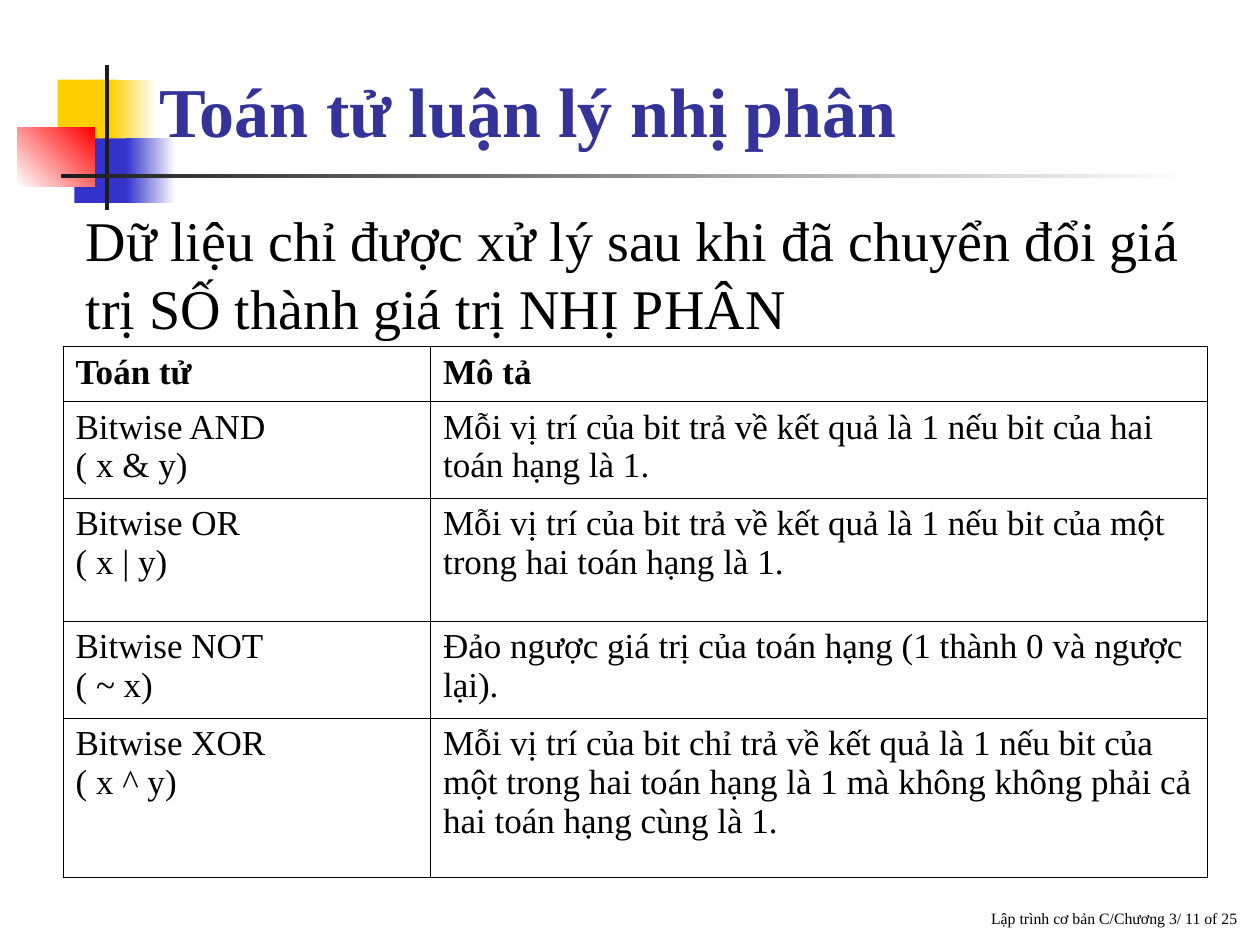
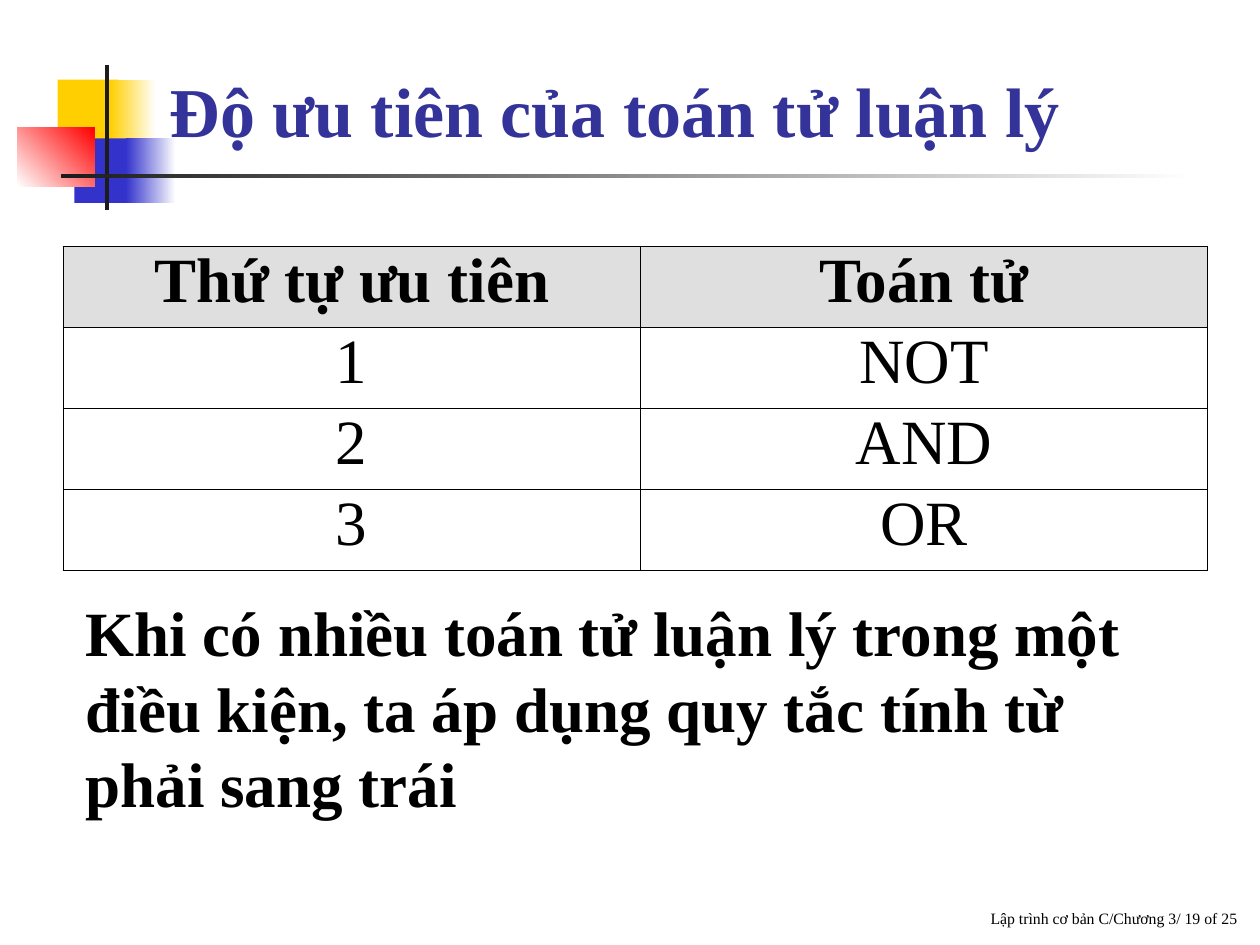
from pptx import Presentation
from pptx.dml.color import RGBColor
from pptx.enum.shapes import MSO_SHAPE as Preset
from pptx.enum.text import MSO_ANCHOR as Anchor
from pptx.enum.text import MSO_AUTO_SIZE as AutoSize
from pptx.enum.text import PP_ALIGN as Align
from pptx.oxml import parse_xml
from pptx.oxml.ns import nsdecls
from pptx.util import Pt

FONT = "Times New Roman"
BLACK = RGBColor(0x00, 0x00, 0x00)
WHITE = RGBColor(0xFF, 0xFF, 0xFF)
CHARCOAL = RGBColor(0x1C, 0x1C, 0x1C)
GOLD = RGBColor(0xFF, 0xCF, 0x01)
BLUE = RGBColor(0x33, 0x33, 0xCC)
RED = RGBColor(0xFF, 0x00, 0x00)
INDIGO = RGBColor(0x33, 0x33, 0x99)
HEADER_GREY = RGBColor(0xDF, 0xDF, 0xDF)

ORNAMENTS = [
    ((33, 45.5, 34.5, 37.5), [GOLD], 0),
    ((63, 45.5, 26, 37.5), [GOLD, WHITE], 0),
    ((42.5, 79, 33, 37), [BLUE], 0),
    ((72, 79, 28.5, 37), [BLUE, WHITE], 0),
    ((10, 73, 44, 33.5), [WHITE, RED], 45),
    ((60, 37.25, 2.25, 82.75), [CHARCOAL], 0),
    ((34.75, 99.5, 648, 2.25), [CHARCOAL, WHITE], 0),
]
OPERATORS = [
    ("Toán tử", "Mô tả"),
    ("Bitwise AND\n( x & y)",
     "Mỗi vị trí của bit trả về kết quả là 1 nếu bit của hai toán hạng là 1."),
    ("Bitwise OR\n( x | y)",
     "Mỗi vị trí của bit trả về kết quả là 1 nếu bit của một trong hai toán hạng là 1."),
    ("Bitwise NOT\n( ~ x)",
     "Ðảo ngược giá trị của toán hạng (1 thành 0 và ngược lại)."),
    ("Bitwise XOR\n( x ^ y)",
     "Mỗi vị trí của bit chỉ trả về kết quả là 1 nếu bit của một trong hai toán hạng "
     "là 1 mà không không phải cả hai toán hạng cùng là 1."),
]
PRECEDENCE = [("Thứ tự ưu tiên", "Toán tử"), ("1", "NOT"), ("2", "AND"), ("3", "OR")]


def add_ornaments(slide, layout):
    """Draw the corner blocks and rules, then hand them to the shared layout."""
    for bounds, colours, angle in ORNAMENTS:
        block = slide.shapes.add_shape(Preset.RECTANGLE, *map(Pt, bounds))
        block.shadow.inherit = False
        block.line.fill.background()
        if len(colours) == 1:
            block.fill.solid()
            block.fill.fore_color.rgb = colours[0]
        else:
            block.fill.gradient()
            block.fill.gradient_angle = angle
            for stop, colour in zip(block.fill.gradient_stops, colours):
                stop.color.rgb = colour
        layout.shapes._spTree.append(block._element)


def write(frame, text, size, colour=BLACK, bold=False, align=Align.LEFT, spacing=1.0):
    """Fill a text frame with one plain paragraph for each line of text."""
    frame.word_wrap = True
    for index, line in enumerate(text.split("\n")):
        para = frame.add_paragraph() if index else frame.paragraphs[0]
        para.alignment = align
        para.line_spacing = spacing
        para.space_before = Pt(0)
        span = para.add_run()
        span.text = line
        span.font.name = FONT
        span.font.size = Pt(size)
        span.font.bold = bold
        span.font.color.rgb = colour


def place(box, bounds, anchor):
    """Move a text shape to its bounds and fix its anchor."""
    box.left, box.top, box.width, box.height = map(Pt, bounds)
    box.text_frame.auto_size = AutoSize.NONE
    box.text_frame.vertical_anchor = anchor


def add_title(slide, text, bounds):
    """Write the bold slide title."""
    place(slide.shapes.title, bounds, Anchor.BOTTOM)
    write(slide.shapes.title.text_frame, text, 40, INDIGO, bold=True)


def add_statement(slide, text, bounds, size, anchor=Anchor.TOP, bold=False):
    """Write an unbulleted statement in the body placeholder."""
    body = slide.placeholders[1]
    place(body, bounds, anchor)
    properties = body.text_frame.paragraphs[0]._p.get_or_add_pPr()
    properties.set("marL", "0")
    properties.set("indent", "0")
    properties.append(parse_xml(f"<a:buNone {nsdecls('a')}/>"))
    write(body.text_frame, text, size, bold=bold)


def add_footer(slide, number):
    """Write the course name and page number at the lower right."""
    bounds = (276, 497.75, 438, 36)
    footer = slide.shapes.add_textbox(*map(Pt, bounds))
    place(footer, bounds, Anchor.BOTTOM)
    write(footer.text_frame, f"Lập trình cơ bản C/Chương 3/ {number} of 25", 9,
          align=Align.RIGHT)


def outline(cell):
    """Give a cell thin black borders."""
    for side in "LRTB":
        cell._tc.get_or_add_tcPr().append(parse_xml(
            f'<a:ln{side} {nsdecls("a")} w="5715"><a:solidFill>'
            f'<a:srgbClr val="{BLACK}"/></a:solidFill></a:ln{side}>'))


def add_grid(slide, rows, top, widths, heights, size, header_fill=None, **style):
    """Add a bordered table with a bold header row."""
    frame = slide.shapes.add_table(len(rows), len(widths), Pt(36), Pt(top),
                                   Pt(sum(widths)), Pt(sum(heights)))
    table = frame.table
    table.first_row = table.horz_banding = False
    for column, width in zip(table.columns, widths):
        column.width = Pt(width)
    for r, (texts, height) in enumerate(zip(rows, heights)):
        table.rows[r].height = Pt(height)
        for c, text in enumerate(texts):
            cell = table.cell(r, c)
            outline(cell)
            if header_fill and r == 0:
                cell.fill.solid()
                cell.fill.fore_color.rgb = header_fill
            else:
                cell.fill.background()
            write(cell.text_frame, text, size, bold=r == 0, **style)


def add_operators_slide(slide):
    """Build the slide on bitwise operators."""
    add_title(slide, "Toán tử luận lý nhị phân", (84, 24, 594, 66))
    add_statement(slide, "Dữ liệu chỉ được xử lý sau khi đã chuyển đổi giá trị SỐ "
                  "thành giá trị NHỊ PHÂN", (41.75, 114, 642, 84), 32)
    add_grid(slide, OPERATORS, 198, [210, 444], [31.4, 55.4, 70.3, 55.4, 90.9], 20)
    add_footer(slide, 11)


def add_precedence_slide(slide):
    """Build the slide on the precedence of logical operators."""
    add_title(slide, "Độ ưu tiên của toán tử luận lý", (89.75, 30, 588, 60))
    add_grid(slide, PRECEDENCE, 140.5, [330, 324], [46.3] * 4, 36, HEADER_GREY,
             align=Align.CENTER, spacing=0.9)
    add_statement(slide, "Khi có nhiều toán tử luận lý trong một điều kiện, ta áp dụng "
                  "quy tắc tính từ phải sang trái", (41.75, 335.5, 636, 137), 36,
                  Anchor.MIDDLE, bold=True)
    add_footer(slide, 19)


def main():
    """Build and save the deck."""
    deck = Presentation()
    deck.slide_width, deck.slide_height = Pt(720), Pt(540)
    layout = deck.slide_layouts[1]
    operators, precedence = [deck.slides.add_slide(layout) for _ in range(2)]
    add_ornaments(operators, layout)
    add_operators_slide(operators)
    add_precedence_slide(precedence)
    deck.save("out.pptx")


if __name__ == "__main__":
    main()
